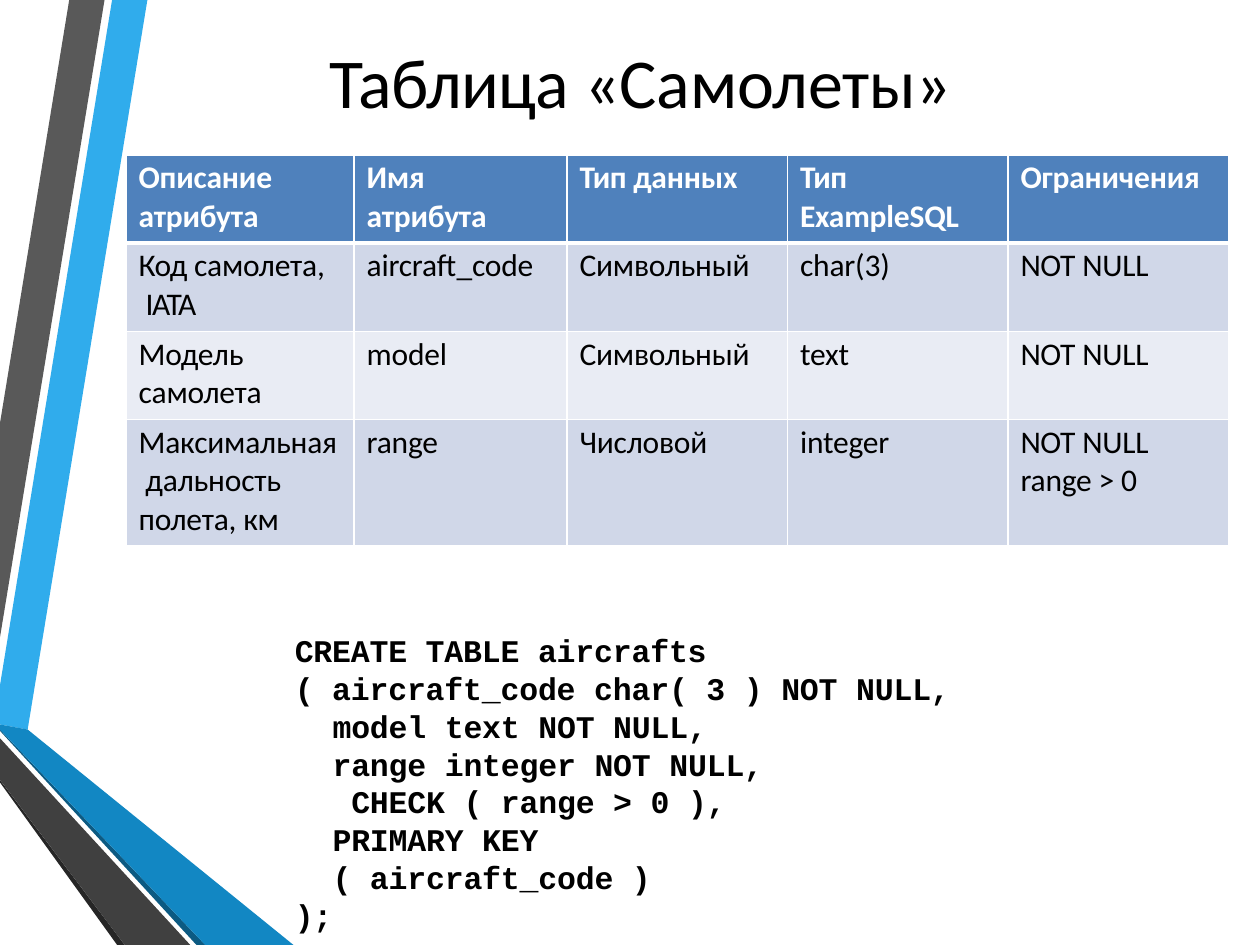
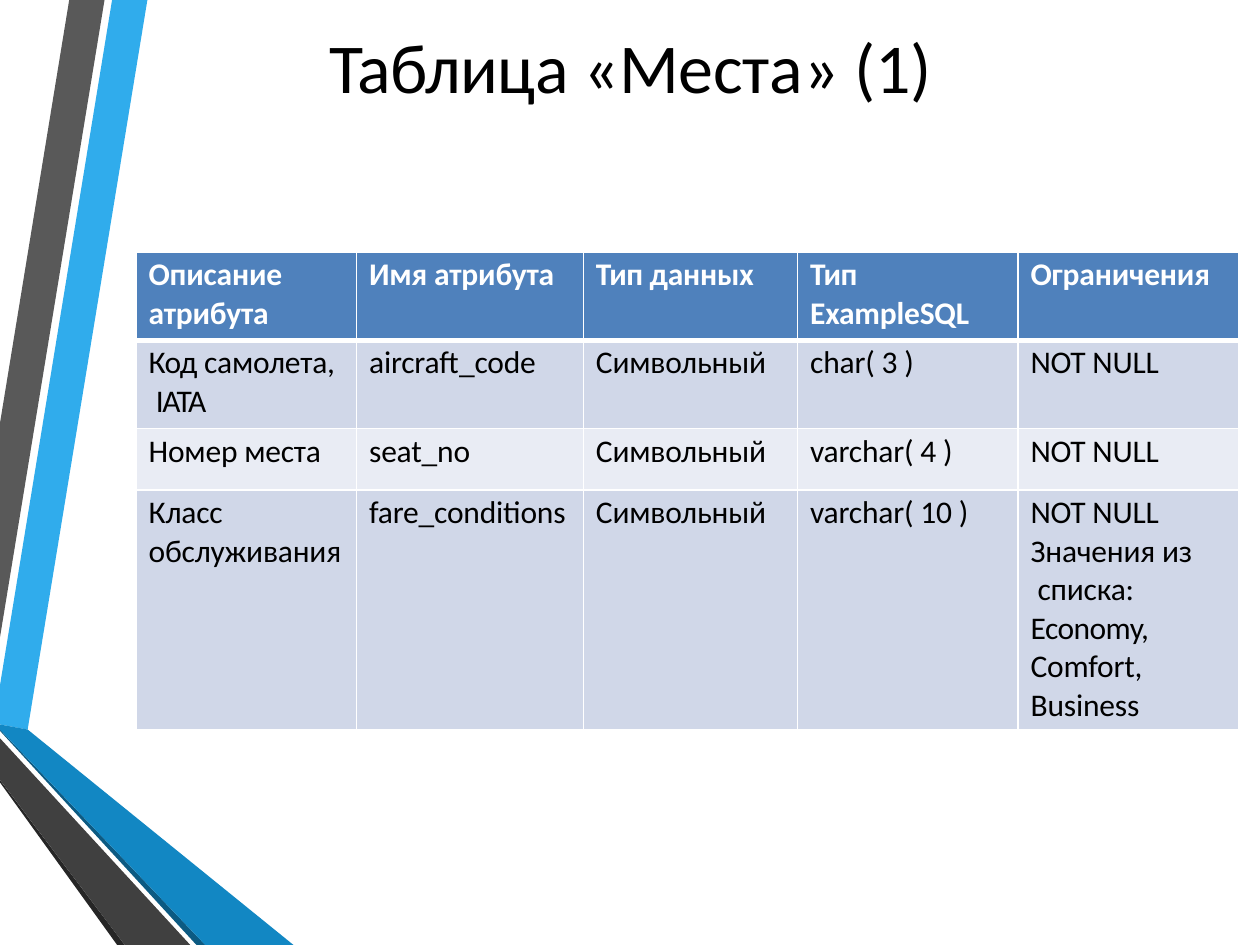
import dataclasses

import pptx
import pptx.dml.color
import pptx.enum.text
import pptx.oxml
import pptx.oxml.ns
import pptx.util

PX = 9144  # EMU in one px, 100 px to the inch
ALIGN = pptx.enum.text.PP_ALIGN
ANCHOR = pptx.enum.text.MSO_ANCHOR


@dataclasses.dataclass(frozen=True)
class Theme:
    text: str = "000000"
    light: str = "FFFFFF"
    header: str = "4F81BC"
    row_tints: tuple = ("D0D7E8", "E9ECF4")
    font: str = "Calibri"
    code_font: str = "Courier New"
    title_size: int = 40
    body_size: int = 18
    rule: int = 1
    header_rule: int = 3
    tracking: int = -10  # hundredths of a point


# Runs set tighter than the rest of the text
TRACKING = {"Таблица": -40, "Тип": -30, "Код": -30, "Economy,": -30,
            "NOT": -20, "IATA": -80}

BANDS = [
    ("30ACEC", [(0, 544), (0, 575), (22, 579), (117, 0), (89, 0)]),
    ("595959", [(83, 0), (55, 0), (0, 336), (0, 506)]),
    ("262626", [(0, 619), (0, 621), (93, 750), (99, 750)]),
    ("0C5A82", [(0, 579), (0, 580), (156, 750), (163, 750)]),
    ("1287C3", [(0, 579), (163, 750), (233, 750), (22, 579), (0, 575)]),
    ("404040", [(0, 619), (99, 750), (151, 750), (0, 586)]),
]

# In all texts "\n" starts a paragraph, "\v" breaks a line, "|" starts a run.
NOT_NULL = "NOT |NULL"
CHARACTER = "Символьный"
DATA_TYPE = "Тип |данных"
DB_TYPE = "Тип\nExampleSQL"
CODE_ATTRIBUTE = "Код |самолета,\v |IATA"

AIRCRAFTS = [
    ["Описание\nатрибута", "Имя\nатрибута", DATA_TYPE, DB_TYPE, "Ограничения"],
    [CODE_ATTRIBUTE, "aircraft_code", CHARACTER, "char(3)", NOT_NULL],
    ["Модель\vсамолета", "model", CHARACTER, "text", NOT_NULL],
    ["Максимальная\v дальность\nполета, км", "range", "Числовой", "integer",
     NOT_NULL + "\nrange > 0"],
]

SEATS = [
    ["Описание\nатрибута", "Имя атрибута", DATA_TYPE, DB_TYPE, "Ограничения"],
    [CODE_ATTRIBUTE, "aircraft_code", CHARACTER, "char( 3 )", NOT_NULL],
    ["Номер места", "seat_no", CHARACTER, "varchar( 4 )", NOT_NULL],
    ["Класс\nобслуживания", "fare_conditions", CHARACTER, "varchar( 10 )",
     NOT_NULL + "\nЗначения из\v списка:\v|Economy,|\vComfort,\vBusiness"],
]

# Each entry: indent in px, text
CREATE_AIRCRAFTS = [
    (1, "CREATE TABLE aircrafts"),
    (1, "( aircraft_code char( 3 ) NOT NULL,"),
    (31, "model text NOT NULL,\vrange integer NOT NULL,\v CHECK ( range > 0 ),"),
    (31, "PRIMARY KEY\v( aircraft_code )"),
    (1, ");"),
]


def rgb(value):
    return pptx.dml.color.RGBColor.from_string(value)


class Deck:
    def __init__(self, theme):
        self.theme = theme
        self.presentation = pptx.Presentation()
        self.presentation.slide_width = 1000 * PX
        self.presentation.slide_height = 750 * PX
        self.slide = None

    def new_slide(self, title, box):
        self.slide = self.presentation.slides.add_slide(
            self.presentation.slide_layouts[6])
        for color, outline in BANDS:
            self.band(color, outline)
        self.title(title, box)

    def band(self, color, outline):
        builder = self.slide.shapes.build_freeform(*outline[0], scale=PX)
        builder.add_line_segments(outline[1:], close=True)
        band = builder.convert_to_shape()
        band.shadow.inherit = False
        band.fill.solid()
        band.fill.fore_color.rgb = rgb(color)
        band.line.fill.background()

    def text_frame(self, box):
        frame = self.slide.shapes.add_textbox(*(n * PX for n in box)).text_frame
        frame.word_wrap = True
        frame.margin_left = frame.margin_right = frame.margin_bottom = 0
        frame.margin_top = PX
        return frame

    def paragraph(self, frame, index, text, indent, before, **style):
        """Fill paragraph number index, adding it when it is not the first."""
        paragraph = frame.add_paragraph() if index else frame.paragraphs[0]
        paragraph.space_before = pptx.util.Pt(before)
        paragraph._p.get_or_add_pPr().set("marL", str(indent * PX))
        for part in text.split("|"):
            for line, words in enumerate(part.split("\v")):
                if line:
                    paragraph.add_line_break()
                if words:
                    self.run(paragraph, words, **style)
        return paragraph

    def run(self, paragraph, words, size, color, bold=False, font=None):
        run = paragraph.add_run()
        run.text = words
        run.font.name = font or self.theme.font
        run.font.size = pptx.util.Pt(size)
        run.font.bold = bold
        run.font.color.rgb = rgb(color)
        tracking = TRACKING.get(words.strip(), self.theme.tracking)
        run._r.get_or_add_rPr().set("spc", str(tracking))

    def title(self, text, box):
        frame = self.text_frame(box)
        frame.vertical_anchor = ANCHOR.MIDDLE
        paragraph = self.paragraph(frame, 0, text, 1, 0.9,
                                   size=self.theme.title_size,
                                   color=self.theme.text)
        paragraph.alignment = ALIGN.CENTER

    def code(self, lines, box):
        frame = self.text_frame(box)
        for index, (indent, text) in enumerate(lines):
            self.paragraph(frame, index, text, indent, 0 if index else 1,
                           size=self.theme.body_size, color=self.theme.text,
                           bold=True, font=self.theme.code_font)

    def table(self, rows, left, top, widths, heights):
        table = self.slide.shapes.add_table(
            len(rows), len(widths), left * PX, top * PX,
            sum(widths) * PX, sum(heights) * PX).table
        for column, width in zip(table.columns, widths):
            column.width = width * PX
        for r, (texts, height) in enumerate(zip(rows, heights)):
            table.rows[r].height = height * PX
            for c, text in enumerate(texts):
                self.cell(table.cell(r, c), text, r)

    def cell(self, cell, text, row):
        theme = self.theme
        is_header = row == 0
        cell.margin_left = cell.margin_right = cell.margin_bottom = 0
        cell.margin_top = 3 * PX
        for index, line in enumerate(text.split("\n")):
            self.paragraph(cell.text_frame, index, line, 10,
                           0 if index else 2.4, size=theme.body_size,
                           color=theme.light if is_header else theme.text,
                           bold=is_header)
        self.cell_borders(cell, top=theme.header_rule if row == 1 else theme.rule,
                          bottom=theme.header_rule if is_header else theme.rule)
        cell.fill.solid()
        cell.fill.fore_color.rgb = rgb(
            theme.header if is_header else theme.row_tints[(row - 1) % 2])

    def cell_borders(self, cell, top, bottom):
        rule = self.theme.rule
        properties = cell._tc.get_or_add_tcPr()
        for side, width in (("L", rule), ("R", rule), ("T", top), ("B", bottom)):
            properties.append(pptx.oxml.parse_xml(
                f'<a:ln{side} {pptx.oxml.ns.nsdecls("a")} '
                f'w="{pptx.util.Pt(width)}"><a:solidFill>'
                f'<a:srgbClr val="{self.theme.light}"/></a:solidFill></a:ln{side}>'))


def main():
    deck = Deck(Theme())

    deck.new_slide("Таблица |«Самолеты»", (62, 29, 892, 69))
    deck.code(CREATE_AIRCRAFTS, (233, 500, 530, 213))
    deck.table(AIRCRAFTS, 100, 123, [181, 169, 175, 175, 175], [70, 70, 70, 100])

    deck.new_slide("Таблица |«Места» (1)", (63, 17, 874, 69))
    deck.table(SEATS, 108, 200, [175, 180, 170, 175, 175], [70, 70, 49, 190])

    deck.presentation.save("out.pptx")


if __name__ == "__main__":
    main()
